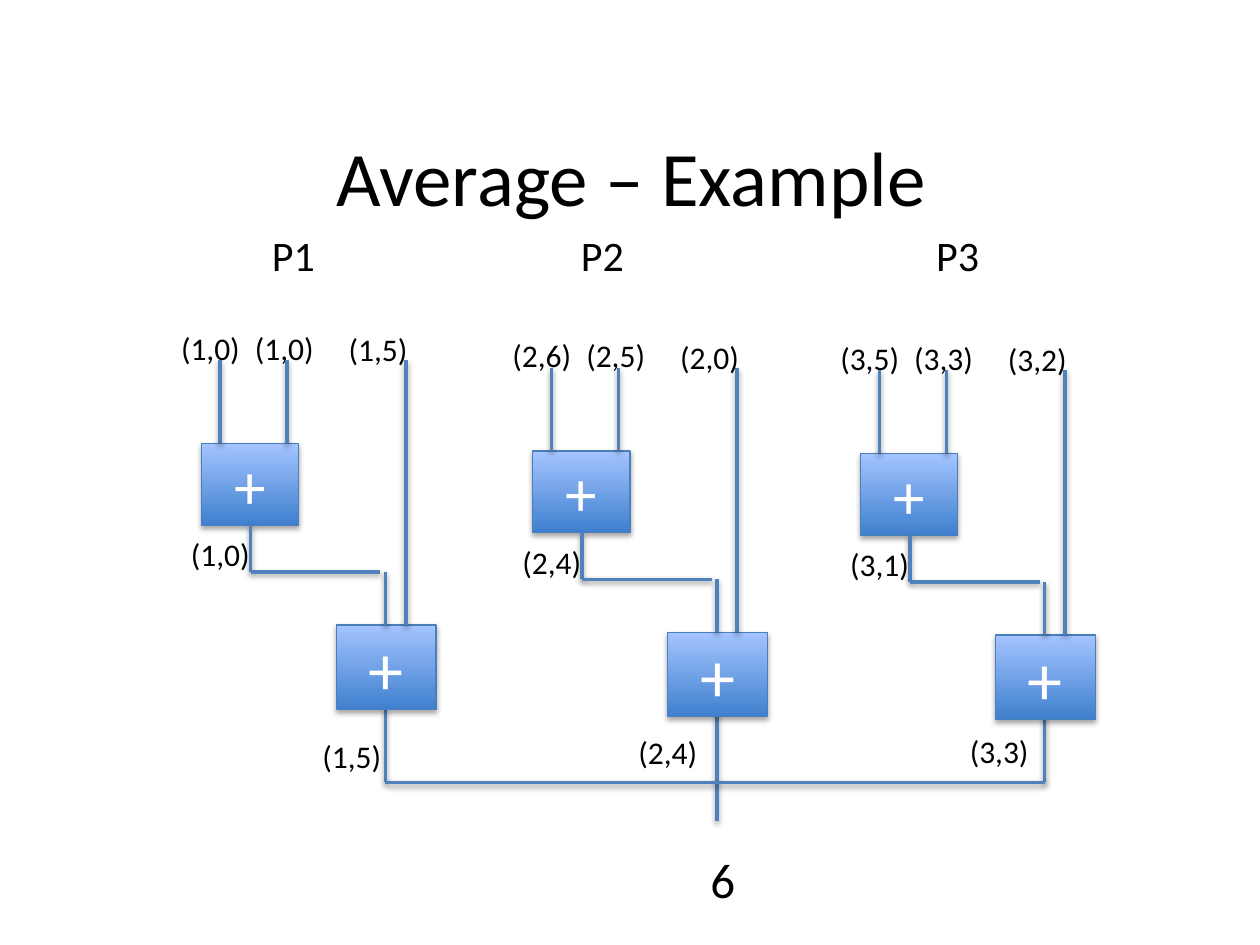
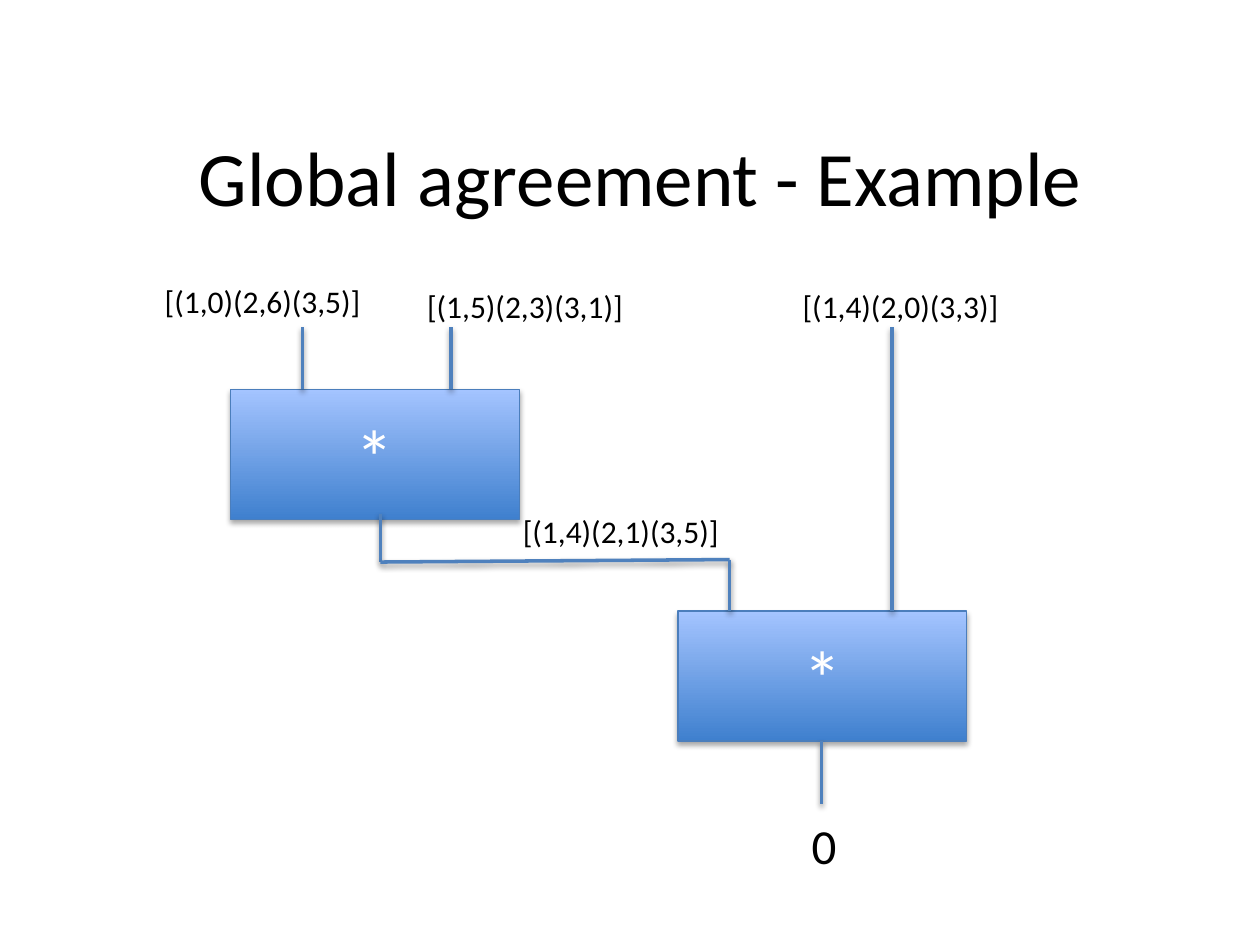
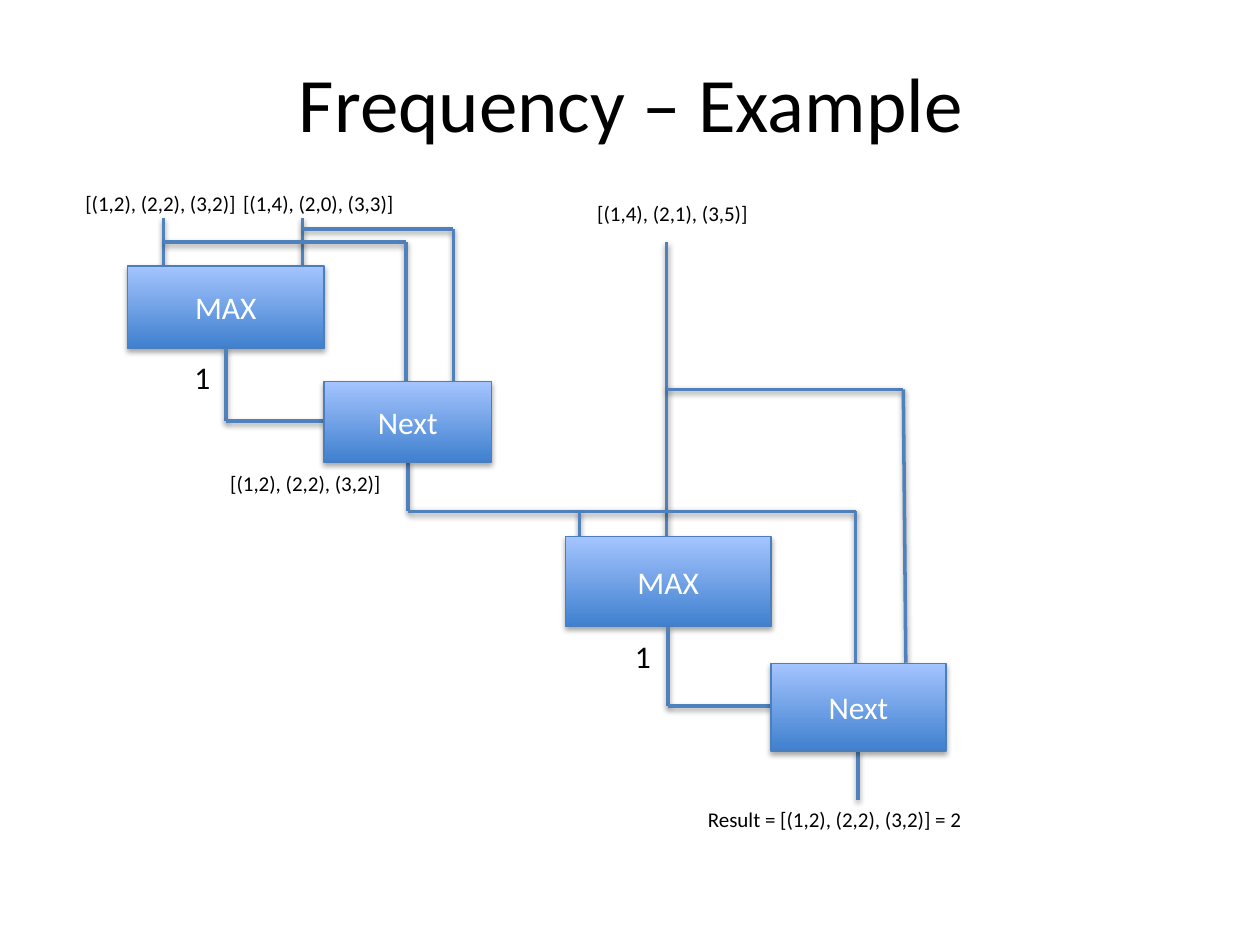
from itertools import pairwise

from lxml import etree
from pptx import Presentation
from pptx.dml.color import RGBColor
from pptx.enum.shapes import MSO_CONNECTOR, MSO_SHAPE
from pptx.enum.text import MSO_ANCHOR, PP_ALIGN
from pptx.oxml.ns import qn
from pptx.util import Cm, Pt

RECT = MSO_SHAPE.RECTANGLE
STRAIGHT = MSO_CONNECTOR.STRAIGHT
MIDDLE = MSO_ANCHOR.MIDDLE
LEFT, CENTER = PP_ALIGN.LEFT, PP_ALIGN.CENTER

FONT = "Calibri"
BLACK = RGBColor(0x00, 0x00, 0x00)
WHITE = RGBColor(0xFF, 0xFF, 0xFF)
WIRE = RGBColor(0x4F, 0x81, 0xBD)
EDGE = RGBColor(0x4B, 0x7E, 0xBC)
DARK = RGBColor(0x3F, 0x80, 0xCE)
LIGHT = RGBColor(0xA4, 0xC4, 0xFF)


def write(tf, text, size, color=BLACK, align=CENTER):
    p = tf.paragraphs[0]
    p.alignment = align
    r = p.add_run()
    r.text = text
    r.font.name = FONT
    r.font.size = Pt(size)
    r.font.color.rgb = color


def add_shadow(sp, dist, opacity):
    effects = etree.SubElement(sp._element.spPr, qn("a:effectLst"))
    shadow = etree.SubElement(effects, qn("a:outerShdw"), blurRad="40000",
                              dist=str(dist), dir="5400000", rotWithShape="0")
    color = etree.SubElement(shadow, qn("a:srgbClr"), val=str(BLACK))
    etree.SubElement(color, qn("a:alpha"), val=str(opacity * 1000))


class Region:
    def __init__(self, s, x=0, y=0):
        self.s, self.x, self.y = s, x, y

    def at(self, x, y):
        return Cm(self.x + x), Cm(self.y + y)

    def block(self, text, x, y, w, h, size):
        sp = self.s.shapes.add_shape(RECT, *self.at(x, y), Cm(w), Cm(h))
        sp.fill.gradient()
        sp.fill.gradient_angle = 90
        for stop, color in zip(sp.fill.gradient_stops, (DARK, LIGHT)):
            stop.color.rgb = color
        sp.line.color.rgb = EDGE
        sp.line.width = Pt(0.75)
        add_shadow(sp, 23000, 35)
        sp.text_frame.vertical_anchor = MIDDLE
        write(sp.text_frame, text, size, WHITE)

    def label(self, text, x, y, w=1.78, size=18, align=LEFT):
        sp = self.s.shapes.add_textbox(*self.at(x, y), Cm(w), Cm(0.25 + size / 24))
        sp.text_frame.word_wrap = True
        write(sp.text_frame, text, size, align=align)

    def wire(self, *points):
        for start, end in pairwise(points):
            line = self.s.shapes.add_connector(STRAIGHT, *self.at(*start), *self.at(*end))
            line.line.color.rgb = WIRE
            line.line.width = Pt(2)
            add_shadow(line, 20000, 38)


def add_slide(prs, title, x=1.93, y=1.5, w=21.59):
    s = prs.slides.add_slide(prs.slide_layouts[0])
    subtitle = s.placeholders[1]._element
    subtitle.getparent().remove(subtitle)
    sp = s.shapes.title
    sp.left, sp.top, sp.width, sp.height = Cm(x), Cm(y), Cm(w), Cm(4.09)
    sp.text_frame.vertical_anchor = MIDDLE
    write(sp.text_frame, title, 44)
    return s


def adder_chain(s, x, y, inputs, partial):
    chain = Region(s, x, y)
    chain.block("+", 0.66, 2.44, 1.96, 1.65, 36)
    chain.block("+", 3.38, 6.1, 2.01, 1.7, 40)
    for text, left, top in zip(inputs, (0, 1.49, 3.38), (0, 0, 0.03)):
        chain.label(text, left, top)
    for left, bottom in ((1.04, 2.44), (2.39, 2.44), (4.78, 6.1)):
        chain.wire((left, 0.76), (left, bottom))
    chain.wire((1.65, 4.09), (1.65, 5.03), (4.27, 5.03))
    chain.wire((4.37, 5.03), (4.37, 6.1))
    chain.label(partial, 0.2, 4.17)


def average_slide(prs):
    s = add_slide(prs, "Average – Example")
    page = Region(s)
    chains = (
        (3.4, 6.5, ("(1,0)", "(1,0)", "(1,5)"), "(1,0)"),
        (10.08, 6.65, ("(2,6)", "(2,5)", "(2,0)"), "(2,4)"),
        (16.69, 6.7, ("(3,5)", "(3,3)", "(3,2)"), "(3,1)"),
    )
    outputs = [x + 4.37 for x, *_ in chains]
    bus = 15.77
    for x, end in zip(outputs, (bus, 16.56, bus)):
        page.wire((x, 14.27), (x, end))
    page.wire((outputs[0], bus), (outputs[-1], bus))
    for chain in chains:
        adder_chain(s, *chain)
    for name, x in (("P1", 4.06), ("P2", 10.29), ("P3", 17.45)):
        page.label(name, x, 4.5, 3.71, 24, CENTER)
    page.label("(1,5)", 6.25, 14.73)
    page.label("(2,4)", 12.62, 14.66)
    page.label("(3,3)", 19.3, 14.63)
    page.label("6", 12.45, 16.99, 4.24, 28, CENTER)


def agreement_slide(prs):
    s = add_slide(prs, "Global agreement - Example", x=0.94, w=23.95)
    page = Region(s)
    for x, y in ((4.65, 7.85), (13.67, 12.32)):
        page.block("*", x, y, 5.82, 2.62, 44)
    for text, x, y in (
        ("[(1,0)(2,6)(3,5)]", 3.07, 5.56),
        ("[(1,5)(2,3)(3,1)]", 8.36, 5.66),
        ("[(1,4)(2,0)(3,3)]", 15.93, 5.66),
        ("[(1,4)(2,1)(3,5)]", 10.29, 10.19),
    ):
        page.label(text, x, y, 5.28)
    for x, bottom in ((6.1, 7.85), (9.09, 7.85), (17.98, 12.32)):
        page.wire((x, 6.6), (x, bottom))
    page.wire((7.67, 10.36), (7.67, 11.33), (14.71, 11.28), (14.71, 12.32))
    page.wire((16.56, 14.94), (16.56, 16.21))
    page.label("0", 14.22, 16.31, 4.78, 28, CENTER)


def max_next_stage(s, x, y, w, h):
    stage = Region(s, x, y)
    split = 0.54 * w
    stage.block("MAX", 0, 0, split, 0.42 * h, 18)
    stage.wire((0.27 * w, 0.42 * h), (0.27 * w, 0.79 * h), (split, 0.79 * h))
    stage.block("Next", split, 0.59 * h, w - split, 0.41 * h, 18)
    stage.label("1", 0.15 * w, 0.44 * h, 0.9)


def frequency_slide(prs):
    s = add_slide(prs, "Frequency – Example", y=0)
    page = Region(s)
    for points in (
        ((3.3, 4.39), (3.3, 5.36)),
        ((6.1, 4.39), (6.1, 5.36)),
        ((3.3, 4.88), (8.18, 4.88), (8.18, 7.7)),
        ((6.1, 4.62), (9.14, 4.62), (9.14, 7.7)),
        ((13.44, 4.88), (13.44, 10.82)),
        ((8.23, 9.32), (8.23, 10.31), (17.25, 10.31), (17.25, 13.36)),
        ((13.44, 7.85), (18.21, 7.85), (18.26, 13.36)),
        ((11.68, 10.31), (11.68, 10.82)),
        ((17.3, 15.14), (17.3, 16.13)),
    ):
        page.wire(*points)
    max_next_stage(s, 2.57, 5.36, 7.34, 3.96)
    max_next_stage(s, 11.4, 10.82, 7.67, 4.32)
    for text, x, y in (
        ("[(1,2), (2,2), (3,2)]", 1.47, 3.71),
        ("[(1,4), (2,0), (3,3)]", 4.65, 3.71),
        ("[(1,2), (2,2), (3,2)]", 4.39, 9.37),
        ("[(1,4), (2,1), (3,5)]", 11.79, 3.91),
    ):
        page.label(text, x, y, 3.78, 12)
    page.label("Result = [(1,2), (2,2), (3,2)] = 2", 14.02, 16.13, 7.04, 12)


def main():
    prs = Presentation()
    prs.slide_width, prs.slide_height = Cm(25.4), Cm(19.05)
    average_slide(prs)
    agreement_slide(prs)
    frequency_slide(prs)
    prs.save("out.pptx")


if __name__ == "__main__":
    main()
